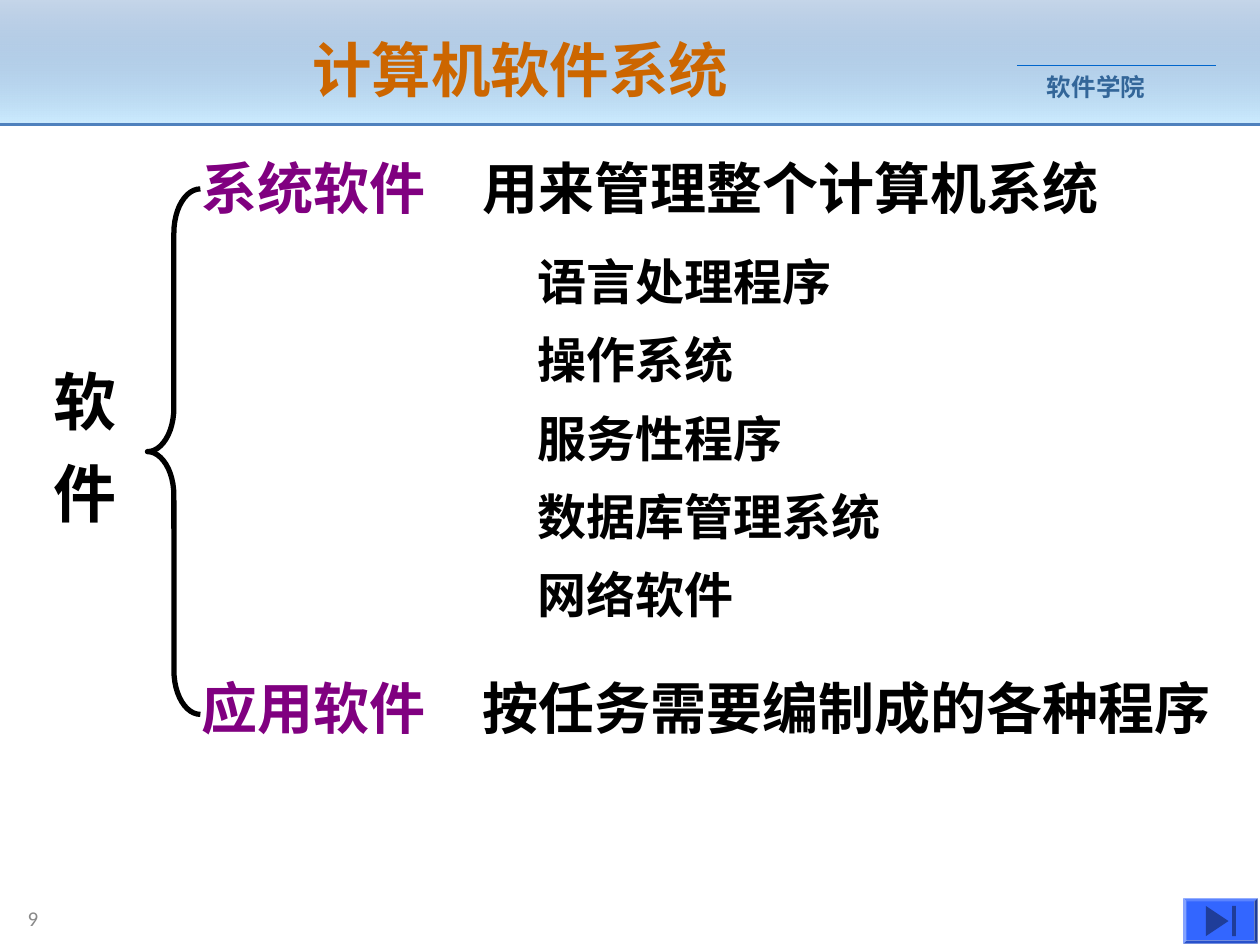
import pptx
import pptx.util
from lxml import etree
from pptx.dml.color import RGBColor
from pptx.enum.dml import MSO_FILL
from pptx.enum.shapes import MSO_CONNECTOR, MSO_SHAPE
from pptx.enum.text import MSO_ANCHOR, PP_ALIGN
from pptx.oxml.ns import qn
from pptx.util import Inches

BLACK = RGBColor(0, 0, 0)
PURPLE = RGBColor(0x80, 0, 0x80)
ORANGE = RGBColor(0xCC, 0x66, 0)
TEAL = RGBColor(0x33, 0x66, 0x99)
GRAY = RGBColor(0x89, 0x89, 0x89)
STEEL = RGBColor(0x4F, 0x81, 0xBD)
SKY = RGBColor(0xCC, 0xEC, 0xFF)
RULE = RGBColor(0, 0x66, 0xCC)
BLUE = RGBColor(0x33, 0x66, 0xFF)
NAVY = RGBColor(0x1F, 0x3D, 0x99)

HAN = "Noto Sans CJK SC"
ROMAN = "Times New Roman"


def write(frame, text, size=32, color=BLACK, font=ROMAN, bold=True,
          align=PP_ALIGN.LEFT, gap=0):
    """Fill a text frame, one paragraph a line, with gap points between."""
    for i, line in enumerate(text.split("\n")):
        para = frame.paragraphs[0] if i == 0 else frame.add_paragraph()
        para.alignment = align
        if i:
            para.space_before = pptx.util.Pt(gap)
        run = para.add_run()
        run.text = line
        run.font.name = font
        run.font.size = pptx.util.Pt(size)
        run.font.bold = bold
        run.font.color.rgb = color
        latin = run.font._element.find(qn("a:latin"))
        east = etree.Element(qn("a:ea"), typeface=HAN)
        latin.addnext(east)


class Page:
    def __init__(self, slide):
        self.slide = slide
        self.shapes = slide.shapes

    def text(self, x, y, w, h, text, left=0.1, wrap=True,
             anchor=MSO_ANCHOR.TOP, **style):
        box = self.shapes.add_textbox(Inches(x), Inches(y), Inches(w), Inches(h))
        frame = box.text_frame
        frame.word_wrap = wrap
        frame.vertical_anchor = anchor
        frame.margin_left = Inches(left)
        write(frame, text, **style)

    def line(self, x1, y1, x2, y2, color, width):
        rule = self.shapes.add_connector(
            MSO_CONNECTOR.STRAIGHT, Inches(x1), Inches(y1), Inches(x2), Inches(y2))
        rule.line.color.rgb = color
        rule.line.width = pptx.util.Pt(width)
        etree.SubElement(rule._element.spPr, qn("a:effectLst"))

    def shape(self, kind, x, y, w, h, fill=None):
        item = self.shapes.add_shape(kind, Inches(x), Inches(y), Inches(w), Inches(h))
        return self.paint(item, fill)

    def outline(self, points, fill):
        """Draw a closed polygon through points given in inches."""
        spots = [(Inches(x), Inches(y)) for x, y in points]
        pen = self.shapes.build_freeform(*spots[0])
        pen.add_line_segments(spots[1:], close=True)
        return self.paint(pen.convert_to_shape(), fill)

    def paint(self, item, fill):
        item.shadow.inherit = False
        item.line.fill.background()
        if fill is None:
            item.fill.background()
        else:
            item.fill.solid()
            item.fill.fore_color.rgb = fill
        return item

    def band(self, x, y, w, h):
        """Draw the header, fading from a clear steel blue down to sky."""
        item = self.shape(MSO_SHAPE.RECTANGLE, x, y, w, h)
        item.fill.gradient()
        item.fill.gradient_angle = 270
        for stop, color, spot in zip(item.fill.gradient_stops, (STEEL, SKY), (0, 1)):
            stop.color.rgb = color
            stop.position = spot
        first = item._element.spPr.find(".//" + qn("a:srgbClr"))
        etree.SubElement(first, qn("a:alpha"), val="32000")

    def brace(self, x, y, w, h):
        item = self.shape(MSO_SHAPE.LEFT_BRACE, x, y, w, h)
        item.adjustments[0] = 0.83
        item.line.color.rgb = BLACK
        item.line.width = pptx.util.Pt(3)

    def button(self, x, y, w, h):
        """Draw a raised button with a skip-to-end sign."""
        item = self.shape(MSO_SHAPE.BEVEL, x, y, w, h, BLUE)
        item.adjustments[0] = 0.07
        top, low, mid = y + 0.06, y + h - 0.06, y + h / 2
        self.outline([(x + 0.18, top), (x + 0.36, mid), (x + 0.18, low)], NAVY)
        self.shape(MSO_SHAPE.RECTANGLE, x + 0.39, top, 0.03, low - top, NAVY)


def main():
    deck = pptx.Presentation()
    deck.slide_width, deck.slide_height = Inches(10), Inches(7.5)
    page = Page(deck.slides.add_slide(deck.slide_layouts[6]))

    page.band(0, 0, 10, 0.99)
    page.text(8.31, 0.52, 1.6, 0.34, "软件学院", left=0, size=14,
              color=TEAL, font="Arial")
    page.line(8.07, 0.52, 9.65, 0.52, RULE, 0.75)
    page.line(0, 0.99, 10, 0.99, STEEL, 1.5)
    page.text(0.12, 7.13, 2.21, 0.32, "9", anchor=MSO_ANCHOR.MIDDLE, size=12,
              color=GRAY, font="Calibri", bold=False)
    page.text(0.51, 0.21, 7.24, 0.7, "计算机软件系统", size=34, color=ORANGE,
              font=HAN, align=PP_ALIGN.CENTER)

    page.text(0.33, 2.83, 0.7, 1.43, "软\n件", wrap=False, size=36, gap=9)
    page.brace(1.17, 1.5, 0.42, 4.17)
    branches = [(1.17, "系统软件", "用来管理整个计算机系统"),
                (5.3, "应用软件", "按任务需要编制成的各种程序")]
    for y, name, role in branches:
        page.text(1.5, y, 2.5, 0.64, name, color=PURPLE)
        page.text(3.83, y, 6.1, 0.64, role, left=0)

    kinds = ["语言处理程序", "操作系统", "服务性程序", "数据库管理系统", "网络软件"]
    for i, kind in enumerate(kinds):
        page.text(4.17, 1.95 + i * 0.62, 3.5, 0.57, kind, size=28)

    page.button(9.39, 7.13, 0.59, 0.36)
    deck.save("out.pptx")


if __name__ == "__main__":
    main()
